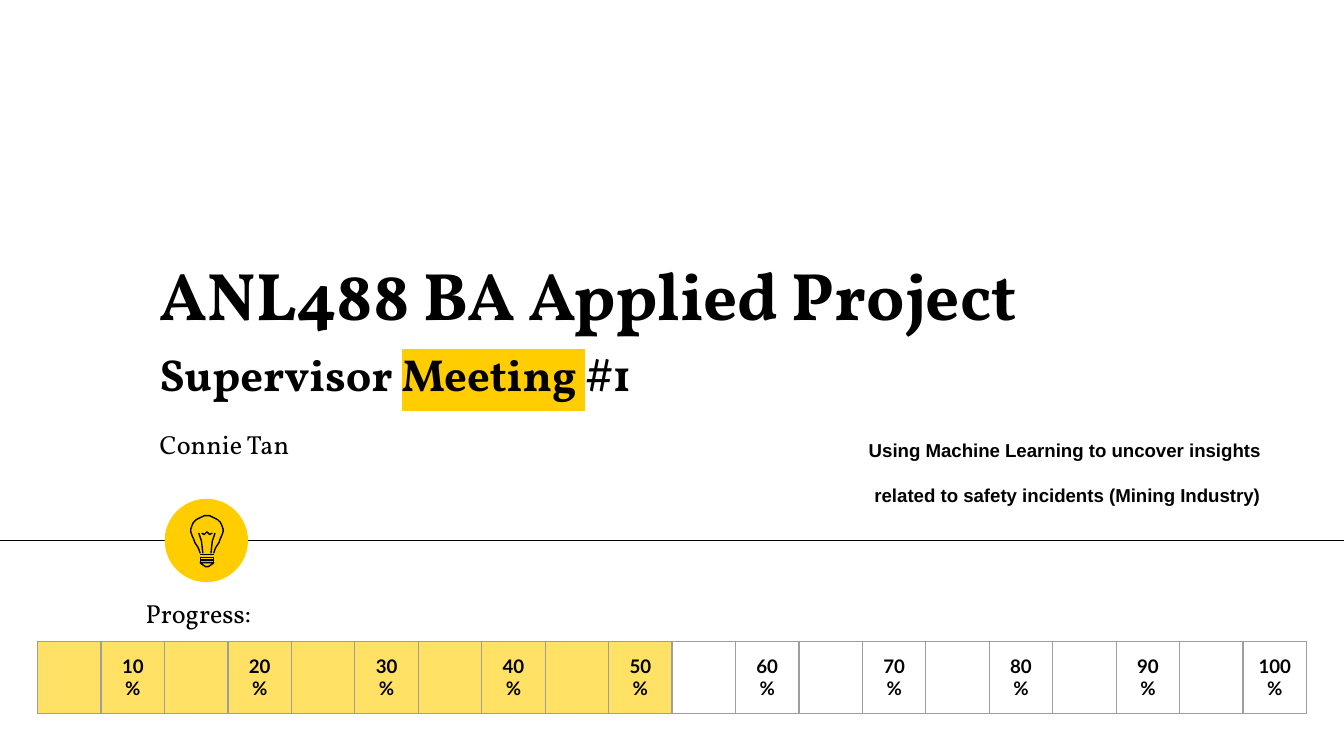
import pptx
import pptx.util
import pptx.dml.color
import pptx.enum.shapes
import pptx.enum.text
import pptx.oxml
import pptx.oxml.ns
from dataclasses import dataclass
from lxml import etree

ALIGN = pptx.enum.text.PP_ALIGN
ANCHOR = pptx.enum.text.MSO_ANCHOR
UNIT = pptx.util.Inches(0.1)  # the slide is a grid of 100 columns
COLUMNS, ROWS = 100, 56.25
PADDING = pptx.util.Inches(0.1)


@dataclass(frozen=True)
class Theme:
    ink: str = "000000"
    accent: str = "FFCD00"
    done: str = "FFE166"
    grid: str = "9E9E9E"
    serif: str = "Vollkorn"
    sans: str = "Arial"
    label: str = "Lato"
    title: int = 36
    subtitle: int = 24
    body: int = 14
    small: int = 10
    stroke: float = 0.75


THEME = Theme()


def cells(*counts):
    return [round(count * UNIT) for count in counts]


def color(value):
    return pptx.dml.color.RGBColor.from_string(value)


def style_run(run, font, size, bold, highlight=None):
    run.font.name, run.font.size, run.font.bold = font, pptx.util.Pt(size), bold
    run.font.color.rgb = color(THEME.ink)
    if highlight:
        mark = pptx.oxml.parse_xml(
            f'<a:highlight {pptx.oxml.ns.nsdecls("a")}><a:srgbClr val="{highlight}"/></a:highlight>')
        run.font._element.find(pptx.oxml.ns.qn("a:solidFill")).addnext(mark)


def add_text(slide, box, lines, font, size, bold=False, align=ALIGN.LEFT,
             anchor=ANCHOR.TOP, spacing=None):
    """Each line is a list of (text, highlight) pieces."""
    frame = slide.shapes.add_textbox(*cells(*box)).text_frame
    frame.word_wrap = True
    frame.vertical_anchor = anchor
    frame.margin_left = frame.margin_right = PADDING
    frame.margin_top = frame.margin_bottom = PADDING
    for index, pieces in enumerate(lines):
        paragraph = frame.add_paragraph() if index else frame.paragraphs[0]
        paragraph.alignment = align
        if spacing:
            paragraph.line_spacing = spacing
        for text, highlight in pieces:
            run = paragraph.add_run()
            run.text = text
            style_run(run, font, size, bold, highlight)


def add_line(slide, start, end):
    line = slide.shapes.add_connector(
        pptx.enum.shapes.MSO_CONNECTOR.STRAIGHT, *cells(*start, *end))
    line.line.color.rgb = color(THEME.ink)
    line.line.width = pptx.util.Pt(THEME.stroke)
    etree.SubElement(line._element.spPr, pptx.oxml.ns.qn("a:effectLst"))


def add_heading(slide, box):
    left, top, width, height = box
    add_text(slide, (left, top, width, 8.2), [[("ANL488 BA Applied Project", None)]],
             THEME.serif, THEME.title, True, anchor=ANCHOR.BOTTOM)
    add_text(slide, (left, top + 7.15, width * 0.9, 6.1),
             [[("Supervisor ", None), ("Meeting ", THEME.accent), ("#1", None)]],
             THEME.serif, THEME.subtitle, True)
    add_text(slide, (left, top + height - 4.4, width * 0.29, 4.4), [[("Connie Tan", None)]],
             THEME.serif, THEME.body)


def add_topic(slide, box):
    lines = ["Using Machine Learning to uncover insights ",
             "related to safety incidents (Mining Industry)"]
    add_text(slide, box, [[(line, None)] for line in lines],
             THEME.sans, THEME.small, True, ALIGN.CENTER, spacing=2.0)


def add_bulb(slide, box):
    """Light bulb drawn on a grid of 24 by 38 points, symmetric about x = 12."""
    left, top, width, height = box

    def mirrored(points):
        return [(24 - x, y) for x, y in points]

    def rectangle(upper, lower):
        return [(7, upper), (17, upper), (17, lower), (7, lower)]

    glass = [(7, 28), (6, 25), (5, 23), (3, 20), (2, 17), (1, 15), (0, 12),
             (0, 10), (1, 7), (2, 5), (4, 3), (6, 2), (8, 1), (10, 0), (12, 0)]
    support = [(9, 28), (8, 19), (6, 13)]
    filament = [(8, 13), (10, 14), (12, 12), (14, 14), (16, 13)]
    tip = [(7, 35), (8, 36), (11, 38), (13, 38), (16, 36), (17, 35)]
    neck = [(7, 29), (17, 29)]
    outlines = [(rectangle(33, 35), True), (rectangle(31, 33), True), (tip, True),
                (support, False), (glass + mirrored(glass)[-2::-1], False),
                (mirrored(support), False), (filament, False), (neck, False)]
    scale = (width * UNIT / 24, height * UNIT / 38)
    for points, closed in outlines:
        builder = slide.shapes.build_freeform(*points[0], scale=scale)
        builder.add_line_segments(points[1:], close=closed)
        outline = builder.convert_to_shape(*cells(left, top))
        outline.shadow.inherit = False
        outline.fill.background()
        outline.line.color.rgb = color(THEME.ink)
        outline.line.width = pptx.util.Pt(THEME.stroke)


def add_divider(slide, box):
    left, top, width, height = box
    middle = top + height / 2
    add_line(slide, (left, middle), (left + width, middle))
    badge = slide.shapes.add_shape(
        pptx.enum.shapes.MSO_SHAPE.OVAL, *cells(left + 12.35, top, height, height))
    badge.shadow.inherit = False
    badge.fill.solid()
    badge.fill.fore_color.rgb = color(THEME.accent)
    badge.line.fill.background()
    add_bulb(slide, (left + 14.3, top + 1.25, 2.4, 3.8))


def add_border(cell):
    properties = cell._tc.get_or_add_tcPr()
    width = pptx.util.Pt(THEME.stroke)
    for index, side in enumerate(("lnL", "lnR", "lnT", "lnB")):
        properties.insert(index, pptx.oxml.parse_xml(
            f'<a:{side} {pptx.oxml.ns.nsdecls("a")} w="{width}">'
            f'<a:solidFill><a:srgbClr val="{THEME.grid}"/></a:solidFill></a:{side}>'))


def add_progress(slide, box, steps=20, completed=10):
    left, top, width, height = box
    bar = slide.shapes.add_table(
        1, steps, *cells(left, top + 4.3, width, height - 4.3)).table
    bar.first_row = bar.horz_banding = False
    for step in range(1, steps + 1):
        bar.columns[step - 1].width = round(width * UNIT / steps)
        cell = bar.cell(0, step - 1)
        if step <= completed:
            cell.fill.solid()
            cell.fill.fore_color.rgb = color(THEME.done)
        else:
            cell.fill.background()
        add_border(cell)
        if step % 2 == 0:
            cell.text_frame.text = f"{step * 100 // steps}%"
            cell.vertical_anchor = ANCHOR.MIDDLE
            cell.margin_left = cell.margin_right = PADDING
            cell.margin_top = cell.margin_bottom = PADDING
            paragraph = cell.text_frame.paragraphs[0]
            paragraph.alignment = ALIGN.CENTER
            style_run(paragraph.runs[0], THEME.label, THEME.small, True)
    add_text(slide, (left + 7.05, top, 20.5, 4.4), [[("Progress:", None)]],
             THEME.serif, THEME.body)


def main():
    deck = pptx.Presentation()
    deck.slide_width, deck.slide_height = cells(COLUMNS, ROWS)
    slide = deck.slides.add_slide(deck.slide_layouts[6])
    add_divider(slide, (-0.1, 37.12, COLUMNS + 0.2, 6.2))
    add_heading(slide, (10.9, 17.65, 69.6, 17.6))
    add_progress(slide, (2.8, 43.43, 94.45, 8.6))
    add_topic(slide, (61.1, 30, 36.6, 10.4))
    deck.save("out.pptx")


if __name__ == "__main__":
    main()
